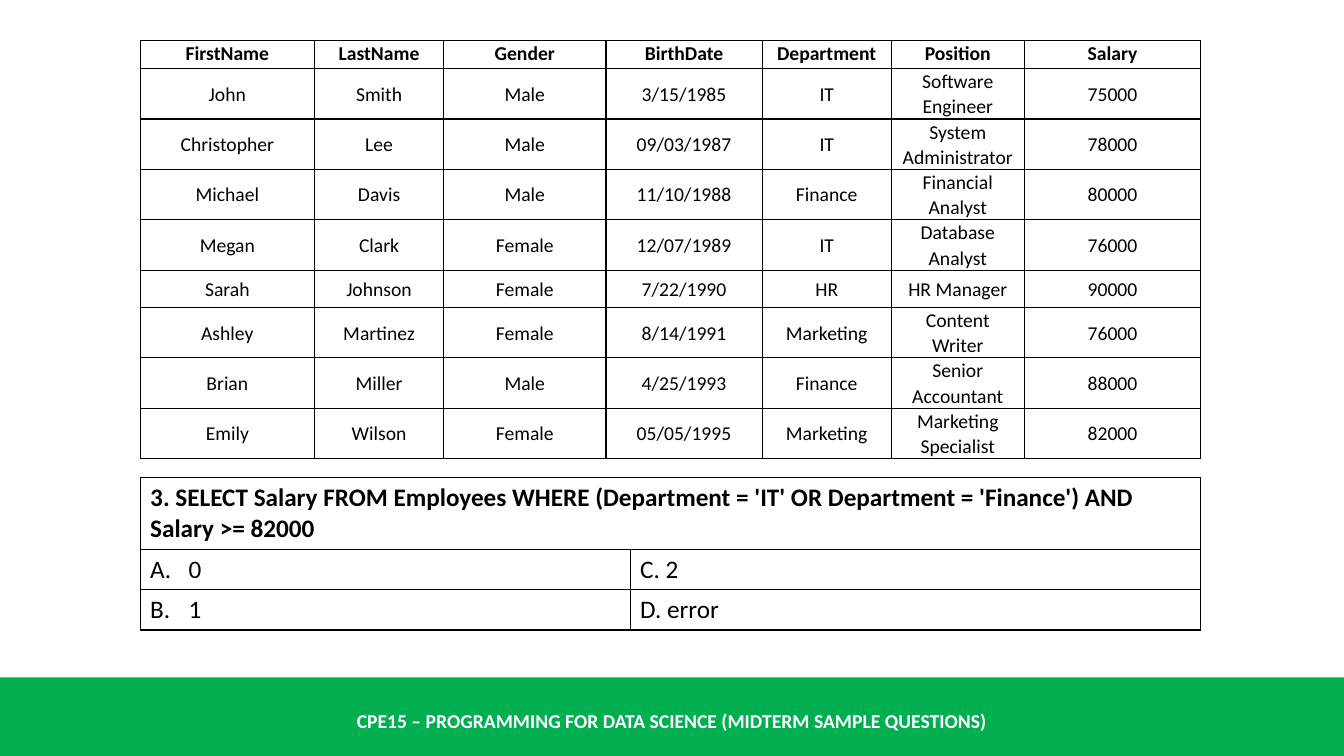
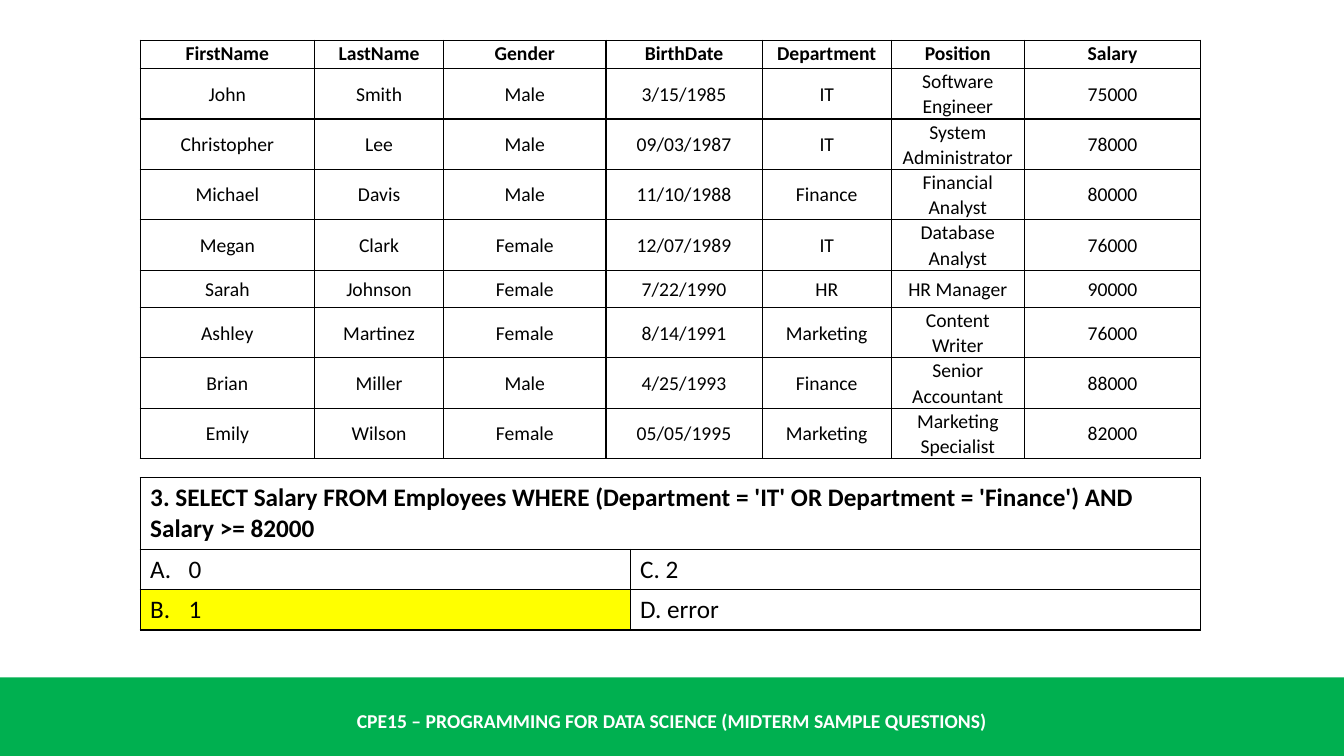
from lxml import etree
from pptx import Presentation
from pptx import util as u
from pptx.dml.color import RGBColor
from pptx.enum import shapes, text
from pptx.oxml.ns import qn

COLORS = {
    "band": "00B050",
    "band_text": "FFFFFF",
    "ink": "000000",
    "answer": "FFFF00",
}
FONT = "Calibri"
SLIDE_WIDTH, SLIDE_HEIGHT = 13.33, 7.5
BAND_TOP = 6.72
TABLE_LEFT = 1.39
FOOTER = "CPE15 – PROGRAMMING FOR DATA SCIENCE (MIDTERM SAMPLE QUESTIONS)"

FIELDS = ["FirstName", "LastName", "Gender", "BirthDate", "Department", "Position", "Salary"]
FIELD_WIDTHS = [1.73, 1.28, 1.61, 1.55, 1.28, 1.32, 1.75]
EMPLOYEES = [
    ["John", "Smith", "Male", "3/15/1985", "IT", "Software Engineer", "75000"],
    ["Christopher", "Lee", "Male", "09/03/1987", "IT", "System Administrator", "78000"],
    ["Michael", "Davis", "Male", "11/10/1988", "Finance", "Financial Analyst", "80000"],
    ["Megan", "Clark", "Female", "12/07/1989", "IT", "Database Analyst", "76000"],
    ["Sarah", "Johnson", "Female", "7/22/1990", "HR", "HR Manager", "90000"],
    ["Ashley", "Martinez", "Female", "8/14/1991", "Marketing", "Content Writer", "76000"],
    ["Brian", "Miller", "Male", "4/25/1993", "Finance", "Senior Accountant", "88000"],
    ["Emily", "Wilson", "Female", "05/05/1995", "Marketing", "Marketing Specialist", "82000"],
]
HEADER_HEIGHT, ONE_LINE_HEIGHT, TWO_LINE_HEIGHT = 0.28, 0.37, 0.5

QUESTION = (
    "3. SELECT Salary FROM Employees WHERE (Department = 'IT' OR Department = 'Finance') "
    "AND Salary >= 82000"
)
CHOICES = [["0", "C. 2"], ["1", "D. error"]]
CORRECT_CHOICE = (1, 0)


def rgb(name):
    return RGBColor.from_string(COLORS[name])


def write(paragraph, content, size, color="ink", bold=False):
    run = paragraph.add_run()
    run.text = content
    run.font.name = FONT
    run.font.size = u.Pt(size)
    run.font.bold = bold
    run.font.color.rgb = rgb(color)


def add_footer(slide):
    band = slide.shapes.add_shape(
        shapes.MSO_SHAPE.RECTANGLE, 0, u.Inches(BAND_TOP),
        u.Inches(SLIDE_WIDTH), u.Inches(SLIDE_HEIGHT - BAND_TOP))
    band.shadow.inherit = False
    band.fill.solid()
    band.fill.fore_color.rgb = rgb("band")
    band.line.fill.background()

    course = slide.shapes.add_textbox(0, u.Inches(6.95), u.Inches(SLIDE_WIDTH), u.Inches(0.4))
    frame = course.text_frame
    frame.word_wrap = True
    frame.vertical_anchor = text.MSO_ANCHOR.MIDDLE
    paragraph = frame.paragraphs[0]
    paragraph.alignment = text.PP_ALIGN.CENTER
    write(paragraph, FOOTER, 14, "band_text", bold=True)


def outline(cell):
    properties = cell._tc.get_or_add_tcPr()
    for side in ("lnL", "lnR", "lnT", "lnB"):
        line = etree.SubElement(properties, qn(f"a:{side}"), w=str(u.Pt(1)))
        fill = etree.SubElement(line, qn("a:solidFill"))
        etree.SubElement(fill, qn("a:srgbClr"), val=COLORS["ink"])


def add_grid(slide, top, widths, heights):
    grid = slide.shapes.add_table(
        len(heights), len(widths), u.Inches(TABLE_LEFT), u.Inches(top),
        u.Inches(sum(widths)), u.Inches(sum(heights))).table
    grid.first_row = False
    grid.horz_banding = False
    for column, width in zip(grid.columns, widths):
        column.width = u.Inches(width)
    for row, height in zip(grid.rows, heights):
        row.height = u.Inches(height)
    for cell in grid.iter_cells():
        outline(cell)
        cell.fill.background()
        cell.vertical_anchor = text.MSO_ANCHOR.MIDDLE
    return grid


def add_employees(slide):
    heights = [HEADER_HEIGHT] + [
        ONE_LINE_HEIGHT if employee[5] == "HR Manager" else TWO_LINE_HEIGHT
        for employee in EMPLOYEES]
    grid = add_grid(slide, 0.4, FIELD_WIDTHS, heights)
    for r, record in enumerate([FIELDS] + EMPLOYEES):
        for c, value in enumerate(record):
            cell = grid.cell(r, c)
            cell.margin_left = cell.margin_right = u.Inches(0.07)
            cell.margin_top = cell.margin_bottom = 0
            if r == 0:
                cell.vertical_anchor = text.MSO_ANCHOR.TOP
            paragraph = cell.text_frame.paragraphs[0]
            paragraph.alignment = text.PP_ALIGN.CENTER
            paragraph.line_spacing = 1.06
            write(paragraph, value, 14, bold=r == 0)


def letter(paragraph, position):
    properties = paragraph._p.get_or_add_pPr()
    properties.set("marL", str(u.Inches(0.38)))
    properties.set("indent", str(-u.Inches(0.38)))
    etree.SubElement(properties, qn("a:buFont"), typeface="+mj-lt")
    etree.SubElement(properties, qn("a:buAutoNum"), type="alphaUcPeriod", startAt=str(position))


def add_question(slide, show_answer):
    grid = add_grid(slide, 4.74, [4.86, 5.66], [0.71, 0.4, 0.4])
    heading = grid.cell(0, 0)
    heading.merge(grid.cell(0, 1))
    write(heading.text_frame.paragraphs[0], QUESTION, 18, bold=True)
    for r, pair in enumerate(CHOICES):
        for c, choice in enumerate(pair):
            cell = grid.cell(r + 1, c)
            paragraph = cell.text_frame.paragraphs[0]
            if c == 0:
                letter(paragraph, r + 1)
            write(paragraph, choice, 18)
            if show_answer and (r, c) == CORRECT_CHOICE:
                cell.fill.solid()
                cell.fill.fore_color.rgb = rgb("answer")


def main():
    deck = Presentation()
    deck.slide_width = u.Inches(SLIDE_WIDTH)
    deck.slide_height = u.Inches(SLIDE_HEIGHT)
    for show_answer in (False, True):
        slide = deck.slides.add_slide(deck.slide_layouts[6])
        add_footer(slide)
        add_employees(slide)
        add_question(slide, show_answer)
    deck.save("out.pptx")


if __name__ == "__main__":
    main()
